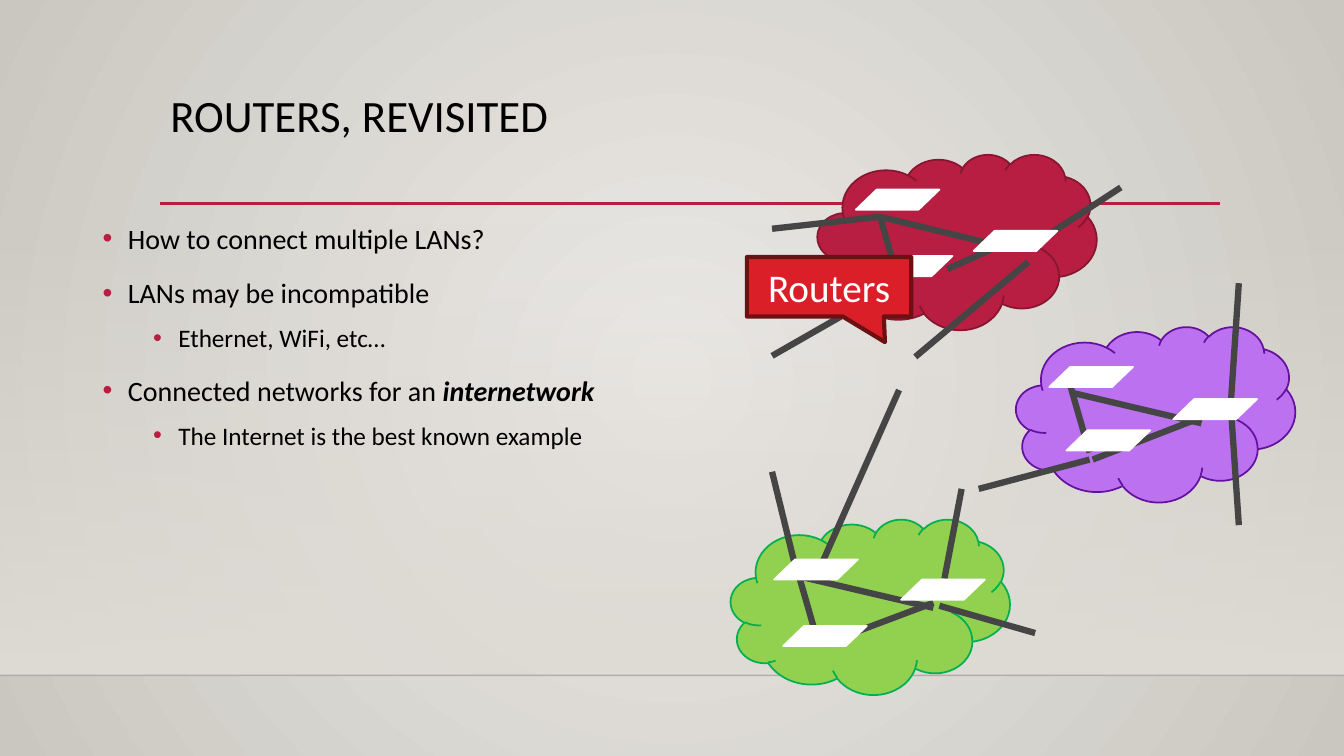
import lxml.etree
import pptx
import pptx.dml.color
import pptx.enum.shapes
import pptx.enum.text
import pptx.oxml.ns
import pptx.util

Pt = pptx.util.Pt
RGBColor = pptx.dml.color.RGBColor
MSO_SHAPE = pptx.enum.shapes.MSO_SHAPE
MSO_ANCHOR = pptx.enum.text.MSO_ANCHOR
PP_ALIGN = pptx.enum.text.PP_ALIGN
qn = pptx.oxml.ns.qn

BLACK = RGBColor(0x00, 0x00, 0x00)
WHITE = RGBColor(0xFF, 0xFF, 0xFF)
CRIMSON = RGBColor(0xB7, 0x1E, 0x42)
DARK_CRIMSON = RGBColor(0x87, 0x16, 0x31)
PURPLE = RGBColor(0xBC, 0x72, 0xF0)
DARK_PURPLE = RGBColor(0x65, 0x11, 0xA0)
LIME = RGBColor(0x92, 0xD0, 0x50)
GREEN = RGBColor(0x00, 0xB0, 0x50)
RED = RGBColor(0xDA, 0x1F, 0x28)
DARK_RED = RGBColor(0x6D, 0x10, 0x14)
CABLE = RGBColor(0x45, 0x45, 0x45)
PAPER = RGBColor(0xEC, 0xEA, 0xE7)
PAPER_EDGE = RGBColor(0xCA, 0xC7, 0xC1)
WALL = RGBColor(0xDF, 0xDB, 0xD5)
FLOOR_LINE = RGBColor(0x00, 0x00, 0x01)

FONT = "Calibri"
WIDTH, HEIGHT = 960, 540
TITLE = "ROUTERS, REVISITED"
TITLE_BOX = (114.5, 63.4, 756, 82.8)
BODY_BOX = (66.2, 149.8, 424.8, 336.2)
# level, then spans of (text, emphasised)
BULLETS = [
    (0, [("How to connect multiple LANs?", False)]),
    (0, [("LANs may be incompatible", False)]),
    (1, [("Ethernet, WiFi, etc…", False)]),
    (0, [("Connected networks for an ", False), ("internetwork", True)]),
    (1, [("The Internet is the best known example", False)]),
]
# text size, left margin, space before
LEVELS = [(20, 18, 10), (18, 54, 5)]

WALL_BOX = (0, 159.1, WIDTH, 323.3)
FLOOR = (0, 482.4, WIDTH, 482.4)
TITLE_RULE = (114.5, 145.4, 871.2, 145.4)

CLOUD_SIZE = (199.4, 125.3)
ROUTER_SIZE = (59.8, 14.4)
# cloud corner, fill, outline, router corners, links
NETWORKS = [
    ((584, 110.2), CRIMSON, DARK_CRIMSON,
     [(611.3, 135.4), (695.5, 164.9), (620.6, 182.9)],
     [(551.5, 163.4, 628.6, 154.8), (551.5, 254.2, 642.2, 202.3),
      (639.4, 192.2, 628.6, 154.8), (720, 177.1, 628.6, 154.8),
      (676.8, 192.2, 720, 172.8), (734.4, 177.1, 800.6, 133.9),
      (653.8, 254.9, 734.4, 187.2)]),
    ((725.8, 233.3), PURPLE, DARK_PURPLE,
     [(749.5, 262.1), (838.1, 285.1), (761.8, 307.4)],
     [(778.3, 323.3, 764.6, 275.8), (858.2, 302.4, 766.8, 280.8),
      (780.5, 328.3, 858.2, 298.1), (878.4, 299.5, 884.9, 202.3),
      (879.8, 299.5, 884.9, 375.1), (778.3, 328.3, 699.1, 349.2)]),
    ((522, 370.8), LIME, GREEN,
     [(553, 399.6), (643.7, 414), (559.4, 447.1)],
     [(570.2, 413.3, 551.5, 337), (583.9, 457.2, 570.2, 409.7),
      (666.7, 434.2, 574.6, 412.6), (588.2, 460.1, 666.7, 430.6),
      (671, 432.7, 739.4, 452.2), (674.6, 413.3, 686.9, 349.2),
      (583.9, 409.7, 642.2, 278.6)]),
]
CALLOUT = "Routers"
CALLOUT_BOX = (533.5, 183.6, 117.4, 42.5)


def apply(target, values):
    for name, value in values.items():
        setattr(target, name, value)


def set_alpha(colour_element, percent):
    lxml.etree.SubElement(colour_element, qn("a:alpha"), val=str(percent * 1000))


def set_stops(fill, colours):
    fill.gradient()
    for stop, colour in zip(fill.gradient_stops, colours):
        stop.color.rgb = colour


def add_line(page, ends, colour, weight):
    line = page.shapes.add_connector(
        pptx.enum.shapes.MSO_CONNECTOR.STRAIGHT, *map(Pt, ends))
    line.line.color.rgb = colour
    line.line.width = Pt(weight)
    lxml.etree.SubElement(line.element.spPr, qn("a:effectLst"))
    return line


def add_figure(page, kind, box, fill, outline, weight=1.25, adjust=()):
    figure = page.shapes.add_shape(kind, *map(Pt, box))
    figure.shadow.inherit = False
    figure.fill.solid()
    figure.fill.fore_color.rgb = fill
    figure.line.color.rgb = outline
    figure.line.width = Pt(weight)
    for index, value in enumerate(adjust):
        figure.adjustments[index] = value
    return figure


def add_span(para, text, size, colour, emphasised=False):
    span = para.add_run()
    span.text = text
    apply(span.font, {"name": FONT, "size": Pt(size), "bold": emphasised,
                      "italic": emphasised})
    span.font.color.rgb = colour


def place(holder, box):
    apply(holder, dict(zip(("left", "top", "width", "height"), map(Pt, box))))
    apply(holder.text_frame, {"word_wrap": True, "vertical_anchor": MSO_ANCHOR.TOP,
                              "auto_size": pptx.enum.text.MSO_AUTO_SIZE.NONE})


def add_bullet(para, margin):
    properties = para._p.get_or_add_pPr()
    properties.set("marL", str(Pt(margin)))
    properties.set("indent", str(Pt(-18)))
    colour = lxml.etree.SubElement(properties, qn("a:buClr"))
    lxml.etree.SubElement(colour, qn("a:srgbClr"), val=str(CRIMSON))
    lxml.etree.SubElement(properties, qn("a:buFont"), typeface="Arial")
    lxml.etree.SubElement(properties, qn("a:buChar"), char="•")


def draw_backdrop(page):
    """Paint the room behind the text and add the rule under the title."""
    set_stops(page.background.fill, (PAPER, PAPER_EDGE))
    linear = page.element.find(".//" + qn("p:bg")).find(".//" + qn("a:lin"))
    radial = lxml.etree.Element(qn("a:path"), {"path": "circle"})
    lxml.etree.SubElement(radial, qn("a:fillToRect"),
                          dict.fromkeys("ltrb", "50000"))
    linear.getparent().replace(linear, radial)

    wall = add_figure(page, MSO_SHAPE.RECTANGLE, WALL_BOX, WALL, WALL)
    wall.line.fill.background()
    set_stops(wall.fill, (WALL, WALL))
    wall.fill.gradient_angle = 270
    set_alpha(wall.element.find(".//" + qn("a:srgbClr")), 0)
    floor = add_line(page, FLOOR, FLOOR_LINE, 1)
    set_alpha(floor.element.find(".//" + qn("a:srgbClr")), 20)
    rule = add_line(page, TITLE_RULE, CRIMSON, 2.5)
    for part in (wall, floor, rule):
        page.shapes.title.element.addprevious(part.element)


def fill_text(page):
    title, body = page.shapes.title, page.placeholders[1]
    place(title, TITLE_BOX)
    para = title.text_frame.paragraphs[0]
    apply(para, {"alignment": PP_ALIGN.LEFT, "line_spacing": 0.9})
    add_span(para, TITLE, 32, BLACK)

    place(body, BODY_BOX)
    for index, (level, spans) in enumerate(BULLETS):
        frame = body.text_frame
        para = frame.add_paragraph() if index else frame.paragraphs[0]
        size, margin, before = LEVELS[level]
        add_bullet(para, margin)
        apply(para, {"level": level, "line_spacing": 1.2,
                     "space_before": Pt(before if index else 0)})
        for text, emphasised in spans:
            add_span(para, text, size, BLACK, emphasised)


def draw_networks(page):
    for corner, fill, outline, _, _ in NETWORKS:
        add_figure(page, MSO_SHAPE.CLOUD, corner + CLOUD_SIZE, fill, outline)
    for *_, links in NETWORKS:
        for ends in links:
            add_line(page, ends, CABLE, 4.5)
    for *_, routers, _ in NETWORKS:
        for corner in routers:
            add_figure(page, MSO_SHAPE.PARALLELOGRAM, corner + ROUTER_SIZE,
                       WHITE, WHITE, adjust=(1.04,))
    callout = add_figure(page, MSO_SHAPE.RECTANGULAR_CALLOUT, CALLOUT_BOX,
                         RED, DARK_RED, 3, (0.34, 0.93))
    apply(callout.text_frame, {"word_wrap": True,
                               "vertical_anchor": MSO_ANCHOR.MIDDLE})
    para = callout.text_frame.paragraphs[0]
    para.alignment = PP_ALIGN.CENTER
    add_span(para, CALLOUT, 28, WHITE)


def main():
    deck = pptx.Presentation()
    apply(deck, {"slide_width": Pt(WIDTH), "slide_height": Pt(HEIGHT)})
    page = deck.slides.add_slide(deck.slide_layouts[1])
    draw_backdrop(page)
    fill_text(page)
    draw_networks(page)
    deck.save("out.pptx")


if __name__ == "__main__":
    main()
